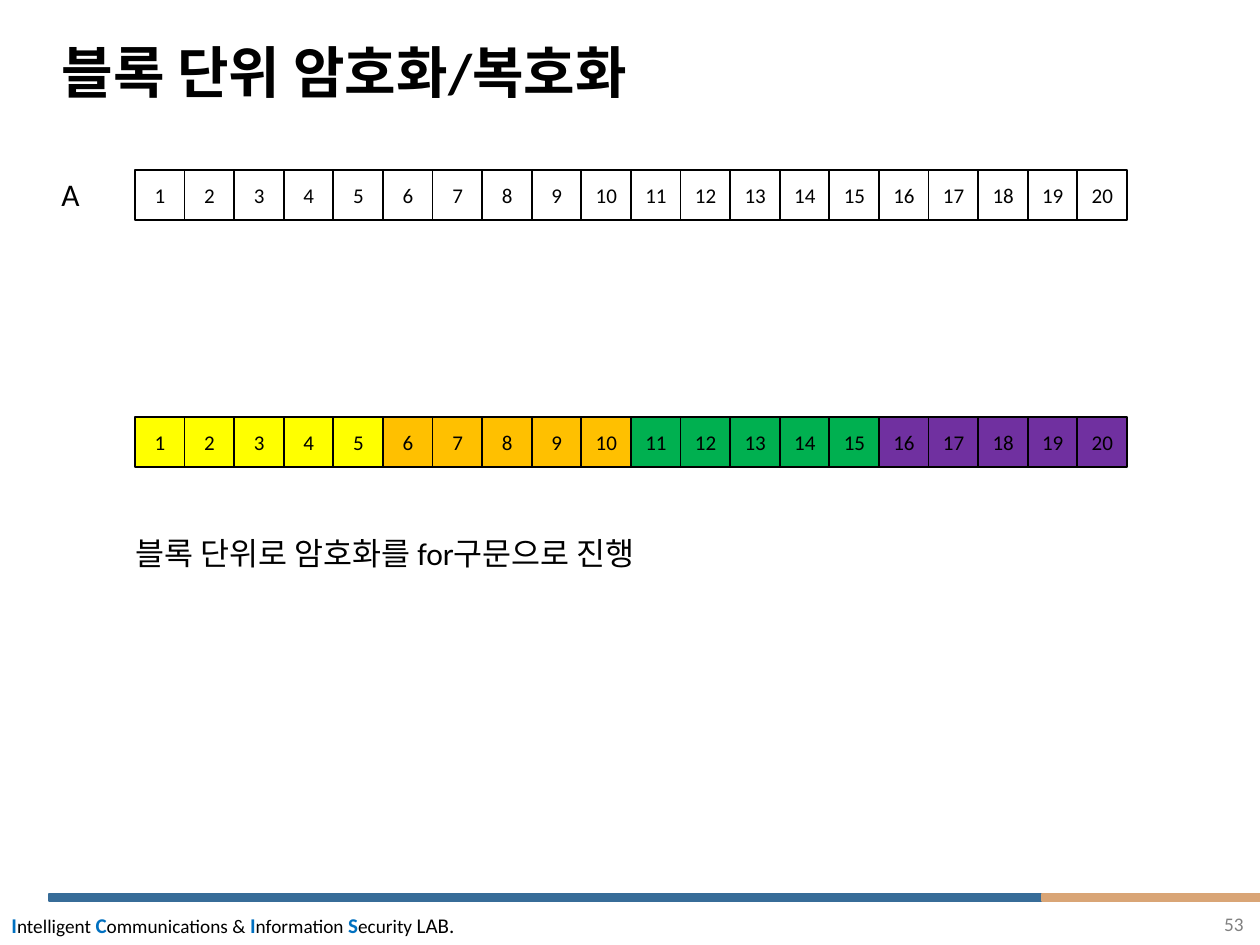
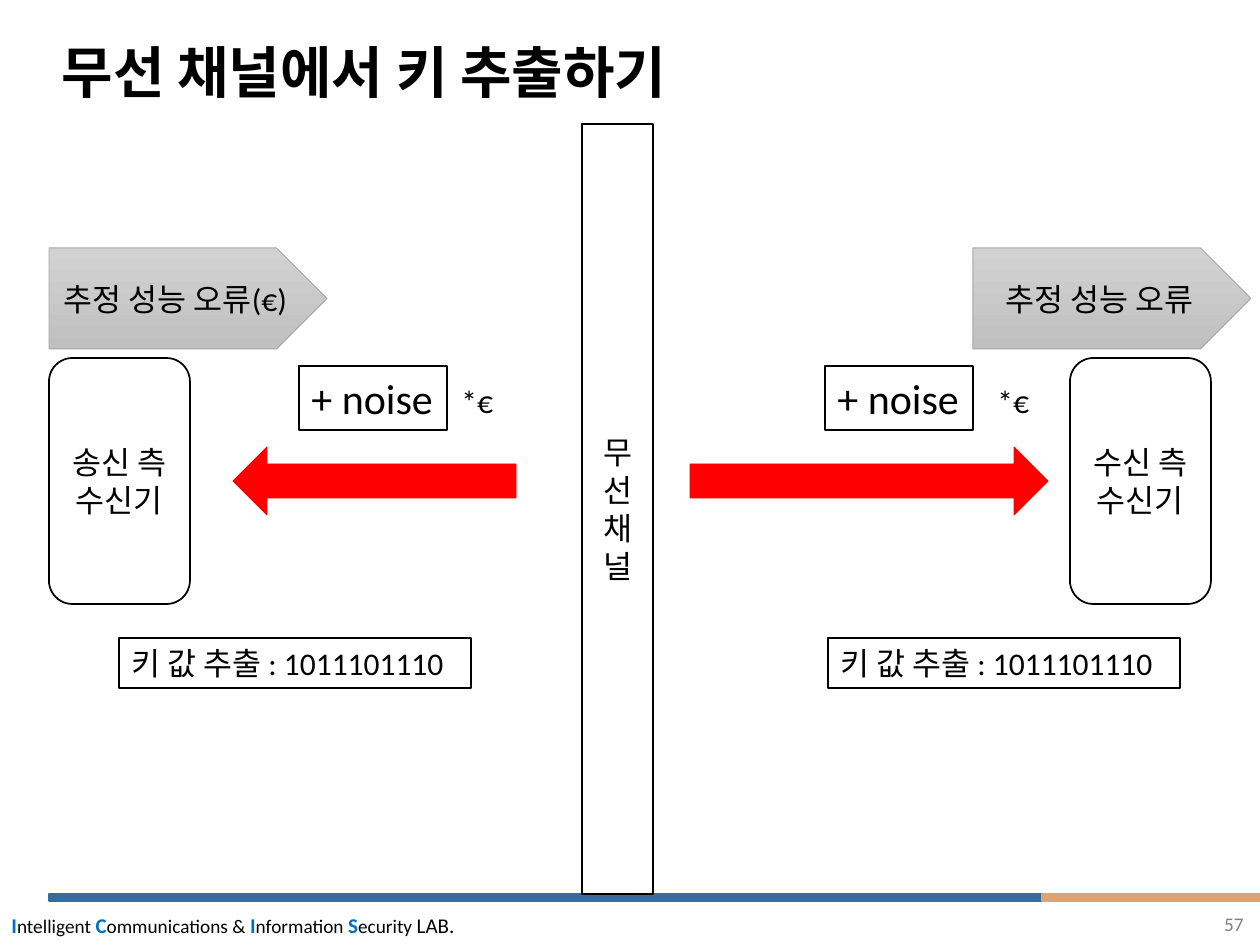
import pptx
import pptx.util
from pptx.dml.color import RGBColor
from pptx.enum.shapes import MSO_SHAPE as KIND
from pptx.enum.text import MSO_ANCHOR, MSO_AUTO_SIZE, PP_ALIGN

# Shared look: lengths are px at 126 to the inch
SCALE = 914400 / 126
FONT = "Calibri"
BLACK = RGBColor(0x00, 0x00, 0x00)
WHITE = RGBColor(0xFF, 0xFF, 0xFF)
NAVY = RGBColor(0x37, 0x6C, 0x98)
TAN = RGBColor(0xD9, 0xA5, 0x76)
BLUE = RGBColor(0x00, 0x70, 0xC0)
GREY = RGBColor(0x80, 0x80, 0x80)
EDGE = RGBColor(0xA5, 0xA5, 0xA5)
RED = RGBColor(0xFF, 0x00, 0x00)
YELLOW = RGBColor(0xFF, 0xFF, 0x00)
ORANGE = RGBColor(0xFF, 0xC0, 0x00)
GREEN = RGBColor(0x00, 0xB0, 0x50)
PURPLE = RGBColor(0x70, 0x30, 0xA0)
SHADE = (RGBColor(0xD2, 0xD2, 0xD2), RGBColor(0xC0, 0xC0, 0xC0))

BANDS = [((49, 894, 999, 7), NAVY), ((1042, 894, 218, 7), TAN)]
LAB = [("I", "ntelligent "), ("C", "ommunications & "),
       ("I", "nformation "), ("S", "ecurity ")]

# Block slide: one colour per block of cells
BLOCK = 5
ROWS = [(170, [WHITE] * 4), (417, [YELLOW, ORANGE, GREEN, PURPLE])]
ROW_LEFT, ROW_WIDE, CELL = 135, 992, 50
NOTES = [("A", (49, 169, 44, 50), None),
         ("블록 단위로 암호화를 for구문으로 진행", (123, 528, 568, 50), WHITE)]

# Channel slide: each side lists the left edges of its parts
CHANNEL = ("무선 채널", (582, 124, 71, 770))
SIDES = [
    dict(radio="송신 측 수신기", radio_x=49, error="추정 성능 오류(€)", error_x=49,
         noise_x=299, scale_x=449, key_x=119,
         arrow=KIND.LEFT_ARROW, arrow_x=233, arrow_w=283),
    dict(radio="수신 측 수신기", radio_x=1070, error="추정 성능 오류", error_x=973,
         noise_x=825, scale_x=985, key_x=828,
         arrow=KIND.RIGHT_ARROW, arrow_x=690, arrow_w=358),
]
KEY = "키 값 추출 : 1011101110"


def emu(box):
    return [round(n * SCALE) for n in box]


def style(run, size, color=BLACK, bold=False):
    run.font.name = FONT
    run.font.size = pptx.util.Pt(size)
    run.font.bold = bold
    run.font.color.rgb = color


def write(frame, text, size, color=BLACK, align=PP_ALIGN.LEFT, bold=False):
    frame.text = text
    para = frame.paragraphs[0]
    para.alignment = align
    style(para.runs[0], size, color, bold)
    return para


def draw(shapes, kind, box, fill, line, width=1, text="", size=18):
    """Add a preset shape with centred text."""
    shape = shapes.add_shape(kind, *emu(box))
    shape.shadow.inherit = False
    shape.fill.solid()
    shape.fill.fore_color.rgb = fill
    shape.line.color.rgb = line
    shape.line.width = pptx.util.Pt(width)
    if text:
        frame = shape.text_frame
        frame.word_wrap = True
        frame.vertical_anchor = MSO_ANCHOR.MIDDLE
        write(frame, text, size, align=PP_ALIGN.CENTER)
    return shape


def label(slide, text, box, line=None, size=18):
    """Add a one-line text box, framed if a line colour is given."""
    shape = slide.shapes.add_textbox(*emu(box))
    if line is not None:
        shape.line.color.rgb = line
        shape.line.width = pptx.util.Pt(0.75)
    frame = shape.text_frame
    frame.word_wrap = False
    frame.auto_size = MSO_AUTO_SIZE.SHAPE_TO_FIT_TEXT
    write(frame, text, size)


def start(deck, title, page):
    """Add a slide with its bands, lab name, title and page number."""
    slide = deck.slides.add_slide(deck.slide_layouts[5])
    for box, color in BANDS:
        draw(slide.shapes, KIND.RECTANGLE, box, color, color)

    frame = slide.shapes.add_textbox(*emu((-1, 906, 471, 38))).text_frame
    frame.word_wrap = False
    para = frame.paragraphs[0]
    parts = [part for head, rest in LAB
             for part in ((head, 12, BLUE, True), (rest, 11, BLACK, False))]
    for text, *look in parts + [("LAB.", 12, BLACK, False)]:
        run = para.add_run()
        run.text = text
        style(run, *look)

    head = slide.shapes.title
    head.left, head.top, head.width, head.height = emu((49, 25, 1160, 100))
    frame = head.text_frame
    frame.auto_size = MSO_AUTO_SIZE.NONE
    frame.vertical_anchor = MSO_ANCHOR.MIDDLE
    write(frame, title, 32, bold=True).line_spacing = 0.9

    frame = slide.shapes.add_textbox(*emu((973, 906, 283, 50))).text_frame
    frame.word_wrap = True
    write(frame, page, 11, GREY, PP_ALIGN.RIGHT)
    return slide


def blocks(deck):
    slide = start(deck, "블록 단위 암호화/복호화", "53")
    for top, colors in ROWS:
        group = slide.shapes.add_group_shape()
        count = BLOCK * len(colors)
        for i in range(count):
            left = ROW_LEFT + i * ROW_WIDE / count
            draw(group.shapes, KIND.RECTANGLE, (left, top, CELL, CELL),
                 colors[i // BLOCK], BLACK, text=str(i + 1), size=12)
    for text, box, line in NOTES:
        label(slide, text, box, line)


def channel(deck):
    slide = start(deck, "무선 채널에서 키 추출하기", "57")
    shapes = slide.shapes
    text, box = CHANNEL
    draw(shapes, KIND.RECTANGLE, box, WHITE, BLACK, text=text)
    for side in SIDES:
        draw(shapes, KIND.ROUNDED_RECTANGLE, (side["radio_x"], 358, 141, 246),
             WHITE, BLACK, text=side["radio"])
        draw(shapes, side["arrow"], (side["arrow_x"], 447, side["arrow_w"], 68),
             RED, RED, 0.5)
        plate = draw(shapes, KIND.PENTAGON, (side["error_x"], 248, 278, 101),
                     SHADE[0], EDGE, 0.5, side["error"])
        plate.fill.gradient()
        plate.fill.gradient_angle = 270
        for stop, color in zip(plate.fill.gradient_stops, SHADE):
            stop.color.rgb = color
        label(slide, "+ noise", (side["noise_x"], 366, 148, 64), BLACK, 24)
        label(slide, "*€", (side["scale_x"], 376, 58, 50))
        label(slide, KEY, (side["key_x"], 638, 352, 50), BLACK)


def main():
    deck = pptx.Presentation()
    deck.slide_width, deck.slide_height = emu((1260, 945))
    blocks(deck)
    channel(deck)
    deck.save("out.pptx")


if __name__ == "__main__":
    main()
